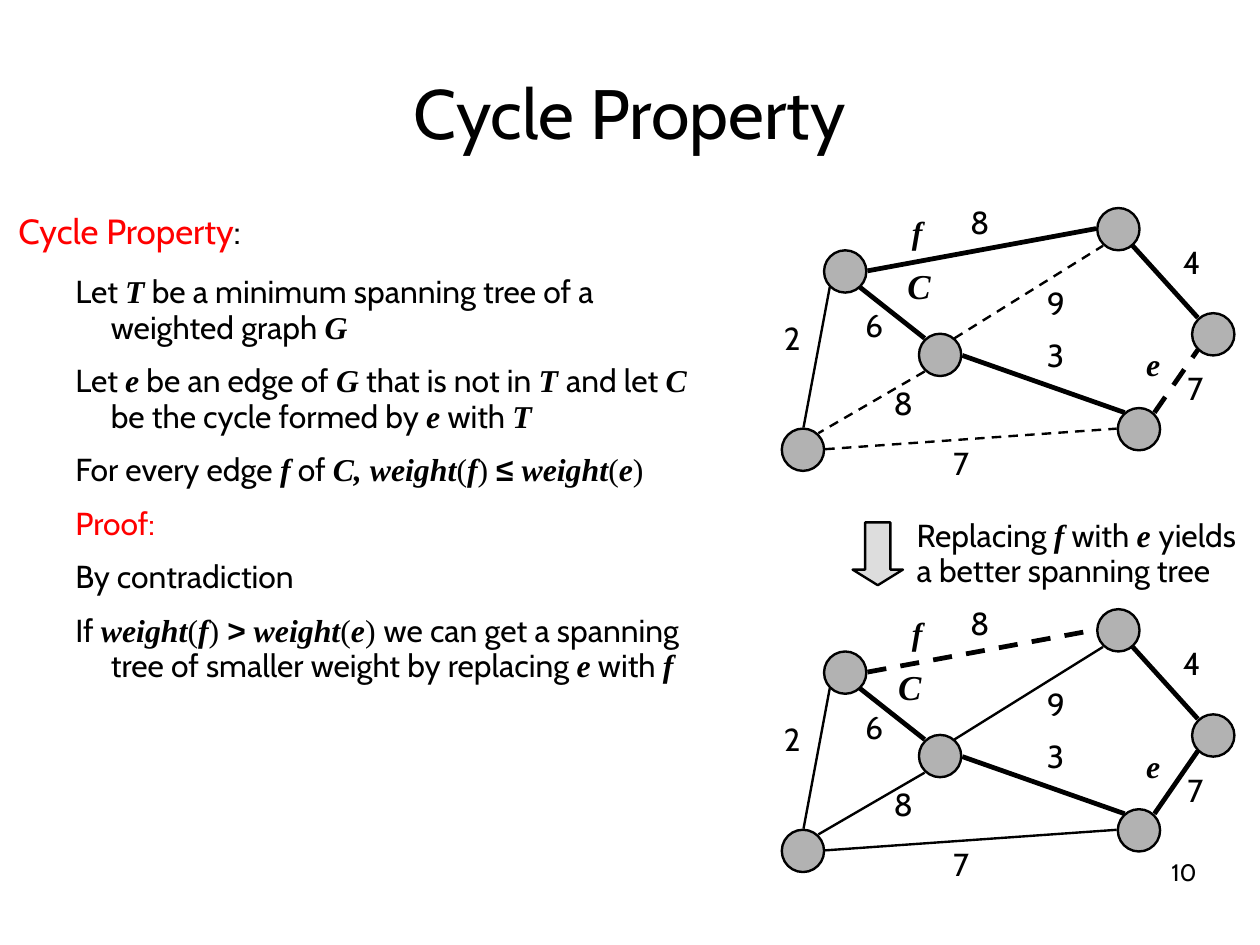
from itertools import groupby
from pptx import Presentation
from pptx import util as u
from pptx.dml.color import RGBColor
from pptx.enum import dml, shapes, text
from pptx.oxml.ns import qn
from lxml import etree

SANS, SERIF = "Cabin", "Times New Roman"
BLACK, RED = "000000", "FF0000"
WIDE, HIGH = 28 / 2.54, 21 / 2.54
DROP = 3.51
NODES = [(7.21, 2.19), (9.6, 1.82), (8.04, 2.92), (6.84, 3.75),
         (10.43, 2.74), (9.78, 3.57)]
EDGES = {
    "top left": (7.52, 2.51, 8.09, 2.96, 3),
    "low left": (8.09, 3.25, 7.16, 3.79, 1.5),
    "side": (7.26, 2.51, 7.03, 3.74, 1.5),
    "low right": (8.42, 3.11, 9.84, 3.61, 3),
    "base": (7.22, 3.93, 9.77, 3.75, 1.5),
    "f": (7.59, 2.37, 9.59, 2, 3),
    "top right": (8.35, 2.96, 9.65, 2.15, 1.5),
    "far": (10.48, 2.78, 9.91, 2.15, 3),
    "e": (10.1, 3.61, 10.48, 3.06, 3),
}
LABELS = [("8", 8.39, 1.75), ("4", 10.25, 2.1), ("2", 6.76, 2.77),
          ("3", 9.06, 2.92), ("6", 7.47, 2.66), ("7", 8.24, 3.86),
          ("7", 10.29, 3.21), ("9", 9.06, 2.46), ("8", 7.72, 3.34),
          ("*e*", 9.93, 3), ("*f*", 7.88, 1.84)]
POINTS = [
    ("Let *T* be a minimum spanning tree of a weighted graph *G*", BLACK),
    ("Let *e* be an edge of *G* that is not in *T *and let *C *"
     "be the cycle formed by *e* with *T*", BLACK),
    ("For every edge *f* of *C, weight(f) ≤ weight(e)*", BLACK),
    ("Proof:", RED),
    ("By contradiction", BLACK),
    ("If *weight(f) > weight(e) *we can get a spanning tree of smaller "
     "weight by replacing *e* with *f*", BLACK),
]


def color(code):
    """Turn a hex string into a colour."""
    return RGBColor.from_string(code)


def look(char):
    """Give the font, bold and italic of a character in a formula."""
    if char in "()":
        return SERIF, False, False
    if char in "≤>":
        return "Arial", True, False
    return SERIF, True, True


def write(para, words, size=20, ink=BLACK, align=None, after=0, left=0, hang=0):
    """Fill a paragraph, setting the parts between stars as formulas."""
    para.alignment, para.line_spacing = align, 0.93
    para.space_after = u.Pt(after)
    props = para._p.get_or_add_pPr()
    props.set("marL", str(u.Inches(left)))
    props.set("indent", str(u.Inches(-hang)))
    for turn, part in enumerate(words.split("*")):
        for style, chars in groupby(
                part, look if turn % 2 else lambda c: (SANS, False, False)):
            for row, line in enumerate("".join(chars).split("\n")):
                if row:
                    para.add_line_break()
                run = para.add_run()
                run.text = line
                font = run.font
                font.name, font.bold, font.italic = style
                font.size, font.color.rgb = u.Pt(size), color(ink)


def box(parent, x, y, w, h, wrap=False, pad=(0.1, 0.05), anchor="TOP"):
    """Add an empty text box and return its frame."""
    frame = parent.add_textbox(*map(u.Inches, (x, y, w, h))).text_frame
    frame.word_wrap = wrap
    frame.margin_left = frame.margin_right = u.Inches(pad[0])
    frame.margin_top = frame.margin_bottom = u.Inches(pad[1])
    frame.vertical_anchor = text.MSO_ANCHOR[anchor]
    return frame


def label(parent, words, x, y, w, h, size=20, align=None, **place):
    """Add a text box with one paragraph."""
    write(box(parent, x, y, w, h, **place).paragraphs[0], words, size, align=align)


def solid(parent, kind, x, y, w, h, fill):
    """Add a filled shape with a black outline."""
    item = parent.add_shape(shapes.MSO_SHAPE[kind], *map(u.Inches, (x, y, w, h)))
    item.shadow.inherit = False
    item.fill.solid()
    item.fill.fore_color.rgb = color(fill)
    item.line.color.rgb, item.line.width = color(BLACK), u.Pt(1.5)
    return item


def edge(parent, ends, width, dash):
    """Add a straight line, dashed or plain."""
    item = parent.add_connector(shapes.MSO_CONNECTOR.STRAIGHT, *map(u.Inches, ends))
    item.line.color.rgb, item.line.width = color(BLACK), u.Pt(width)
    if dash:
        item.line.dash_style = dml.MSO_LINE.DASH
    etree.SubElement(item._element.spPr, qn("a:effectLst"))


def graph(slide, drop, dashed, cycle):
    """Draw the weighted graph, moved down by drop."""
    group = slide.shapes.add_group_shape().shapes
    for x, y in NODES:
        solid(group, "OVAL", x, y + drop, 0.37, 0.37, "B2B2B2")
    for name, (x, y, to_x, to_y, width) in EDGES.items():
        edge(group, (x, y + drop, to_x, to_y + drop), width, name in dashed)
    for words, x, y in LABELS:
        label(group, words, x, y + drop, 0.35, 0.41)
    label(group, "*C*", cycle, 2.3 + drop, 0.51, 0.45, size=22, wrap=True)


def body(slide):
    """Write the property and its proof."""
    frame = box(slide.shapes, 0.16, 1.84, 5.98, 5.97, wrap=True, pad=(0, 0.03))
    head = frame.paragraphs[0]
    for words, ink in (("Cycle Property", RED), (":", BLACK)):
        write(head, words, 22, ink, after=14.2, left=0.38, hang=0.38)
    for words, ink in POINTS:
        write(frame.add_paragraph(), words, ink=ink, after=11.4, left=0.81, hang=0.31)


def main():
    """Build the slide and save it."""
    deck = Presentation()
    deck.slide_width, deck.slide_height = u.Inches(WIDE), u.Inches(HIGH)
    slide = deck.slides.add_slide(deck.slide_layouts[6])
    items = slide.shapes
    label(items, "10", 7.9, 7.53, 2.57, 0.57, size=15,
          align=text.PP_ALIGN.RIGHT, wrap=True, pad=(0, 0))
    label(items, "Cycle Property", 0.55, 0.33, 9.92, 1.38, size=44,
          align=text.PP_ALIGN.CENTER, wrap=True, pad=(0, 0), anchor="MIDDLE")
    body(slide)
    graph(slide, 0, {"low left", "base", "top right", "e"}, 7.84)
    graph(slide, DROP, {"f"}, 7.76)
    arrow = solid(items, "DOWN_ARROW", 7.46, 4.57, 0.44, 0.55, "DDDDDD")
    arrow.adjustments[0], arrow.adjustments[1] = 0.5, 0.31
    label(items, "Replacing *f* with *e *yields\na better spanning tree",
          7.91, 4.48, 3.18, 0.74, pad=(0.11, 0.06))
    deck.save("out.pptx")


if __name__ == "__main__":
    main()
